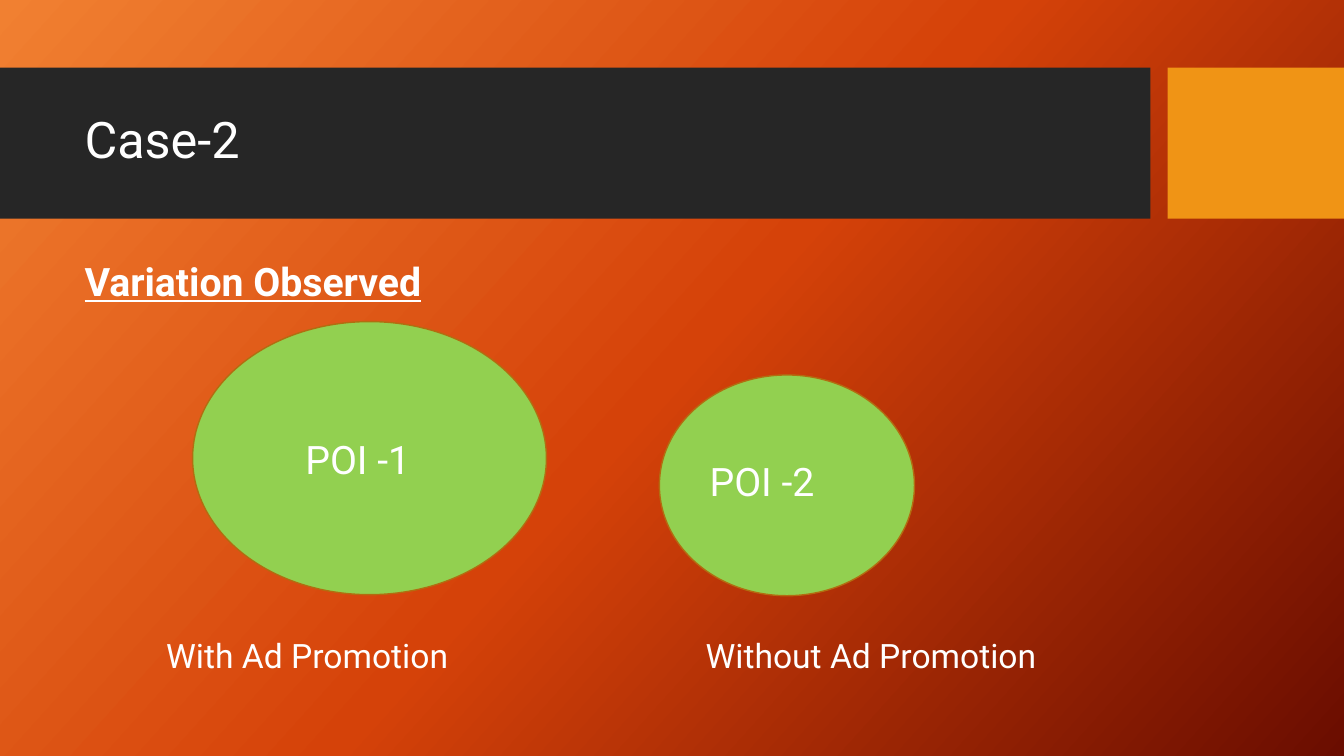
from copy import deepcopy

from pptx import Presentation
from pptx.dml.color import RGBColor
from pptx.enum.shapes import MSO_SHAPE
from pptx.enum.text import MSO_ANCHOR, MSO_AUTO_SIZE
from pptx.oxml.ns import qn
from pptx.util import Inches, Pt

WHITE = RGBColor(0xFF, 0xFF, 0xFF)
CHARCOAL = RGBColor(0x26, 0x26, 0x26)
AMBER = RGBColor(0xF0, 0x94, 0x15)
GREEN = RGBColor(0x92, 0xD0, 0x50)
BRONZE = RGBColor(0xB2, 0x6D, 0x10)
ORANGE = RGBColor(0xF1, 0x80, 0x31)
RUST = RGBColor(0xD5, 0x42, 0x09)
MAROON = RGBColor(0x6A, 0x0D, 0x00)


class SlideBuilder:
    font_name = "Roboto"
    text_color = WHITE

    def __init__(self, slide):
        self.slide = slide

    def background(self, colors, angle):
        fill = self.slide.background.fill
        fill.gradient()
        fill.gradient_angle = 360 - angle
        stop_list = next(self.slide.element.iter(qn("a:gsLst")))
        while len(stop_list) < len(colors):
            stop_list.append(deepcopy(stop_list[-1]))
        for index, (stop, color) in enumerate(zip(fill.gradient_stops, colors)):
            stop.color.rgb = color
            stop.position = index / (len(colors) - 1)

    def shape(self, kind, box, color, line_color=None):
        shape = self.slide.shapes.add_shape(kind, *map(Inches, box))
        shape.shadow.inherit = False
        shape.fill.solid()
        shape.fill.fore_color.rgb = color
        if line_color is None:
            shape.line.fill.background()
        else:
            shape.line.color.rgb = line_color
            shape.line.width = Pt(1)

    def text(self, content, box, size, indent=0, frame_format=None,
             paragraph_format=None, font_format=None):
        text_box = self.slide.shapes.add_textbox(*map(Inches, box))
        frame = text_box.text_frame
        paragraph = frame.paragraphs[0]
        run = paragraph.add_run()
        run.text = content
        run.font.color.rgb = self.text_color
        if indent:
            paragraph._p.get_or_add_pPr().set("marL", str(Inches(indent)))
        font_values = {"name": self.font_name, "size": Pt(size), **(font_format or {})}
        for target, values in (
            (frame, {"word_wrap": True, **(frame_format or {})}),
            (paragraph, paragraph_format or {}),
            (run.font, font_values),
        ):
            for name, value in values.items():
                setattr(target, name, value)


presentation = Presentation()
presentation.slide_width = Inches(13.33)
presentation.slide_height = Inches(7.5)
builder = SlideBuilder(presentation.slides.add_slide(presentation.slide_layouts[6]))

builder.background((ORANGE, RUST, MAROON), 42)
builder.shape(MSO_SHAPE.RECTANGLE, (0, 0.67, 11.41, 1.5), CHARCOAL)
builder.shape(MSO_SHAPE.RECTANGLE, (11.58, 0.67, 1.75, 1.5), AMBER)
builder.text("Case-2", (0.74, 0.82, 10.51, 1.18), 36,
             frame_format={"vertical_anchor": MSO_ANCHOR.MIDDLE},
             paragraph_format={"line_spacing": 0.9})
builder.text("Variation Observed", (0.74, 2.56, 10.51, 4.56), 28,
             paragraph_format={"line_spacing": 0.9, "space_before": Pt(10)},
             font_format={"bold": True, "underline": True})

for ellipse_box in ((1.91, 3.19, 3.51, 2.71), (6.54, 3.72, 2.53, 2.19)):
    builder.shape(MSO_SHAPE.OVAL, ellipse_box, GREEN, BRONZE)

GROWING = {"auto_size": MSO_AUTO_SIZE.SHAPE_TO_FIT_TEXT}
for name, left, top in (("POI -1", 2.15, 4.27), ("POI -2", 6.16, 4.49)):
    builder.text(name, (left, top, 2.91, 0.57), 28, 0.78, GROWING)
for caption, left in (("With Ad Promotion", 1.19), ("Without Ad Promotion", 6.54)):
    builder.text(caption, (left, 6.25, 3.93, 0.5), 24, 0.36, GROWING)

presentation.save("out.pptx")
